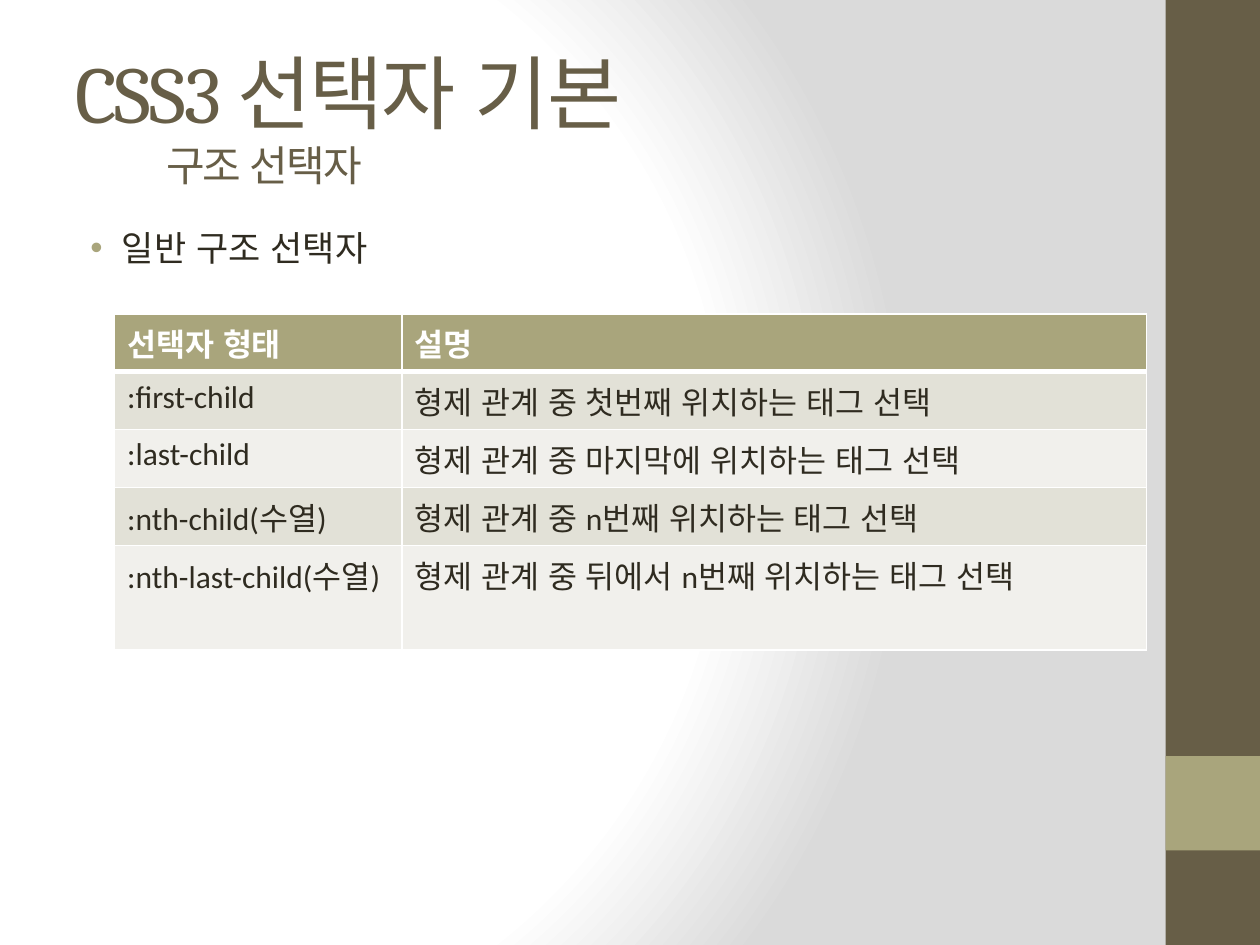
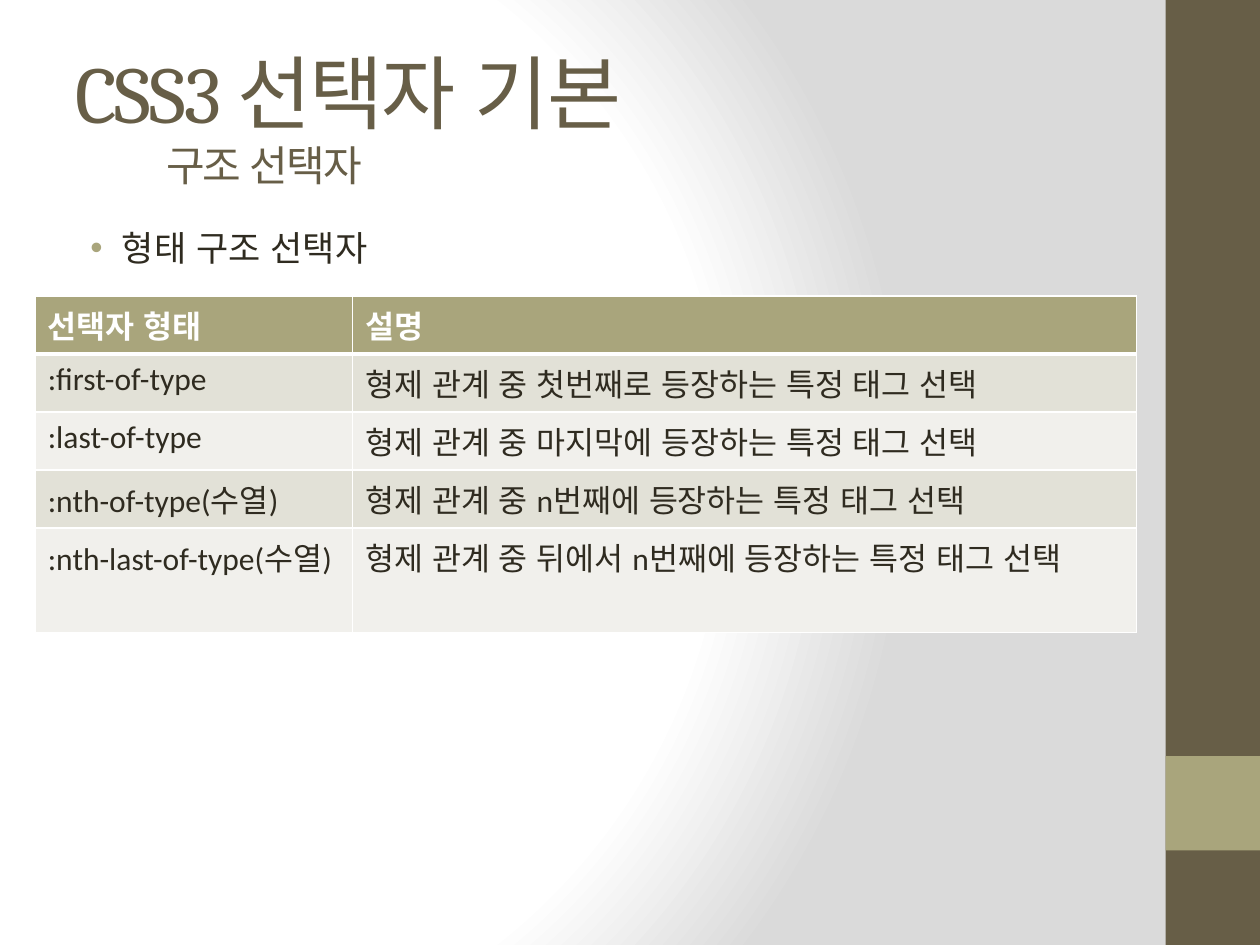
from lxml.etree import SubElement
from pptx import Presentation
from pptx.dml.color import RGBColor
from pptx.enum.lang import MSO_LANGUAGE_ID as Language
from pptx.enum.shapes import MSO_SHAPE as Shape
from pptx.enum.text import MSO_ANCHOR as Anchor
from pptx.oxml import parse_xml
from pptx.oxml.ns import nsdecls, qn
from pptx.util import Inches, Pt

COLORS = {
    "brown": "675E47",
    "olive": "A9A57C",
    "ink": "2F2B20",
    "white": "FFFFFF",
    "grey": "DADADA",
    "odd_row": "E2E1D7",
    "even_row": "F1F0EC",
}
TITLE_FONT, BODY_FONT = "Cambria", "Calibri"
TITLE, SUBTITLE = "CSS3 선택자 기본", "구조 선택자"
HEADER = ("선택자 형태", "설명")
ROW_HEIGHTS = (0.46, 0.46, 0.46, 0.46, 0.83)

# Content of each slide: bullet, table position, column widths, rows
SLIDES = [
    ("일반 구조 선택자", (0.91, 2.49), (2.28, 5.91), [
        (":first-child", "형제 관계 중 첫번째 위치하는 태그 선택"),
        (":last-child", "형제 관계 중 마지막에 위치하는 태그 선택"),
        (":nth-child(수열)", "형제 관계 중 n번째 위치하는 태그 선택"),
        (":nth-last-child(수열)", "형제 관계 중 뒤에서 n번째 위치하는 태그 선택"),
    ]),
    ("형태 구조 선택자", (0.28, 2.35), (2.52, 6.22), [
        (":first-of-type", "형제 관계 중 첫번째로 등장하는 특정 태그 선택"),
        (":last-of-type", "형제 관계 중 마지막에 등장하는 특정 태그 선택"),
        (":nth-of-type(수열)", "형제 관계 중 n번째에 등장하는 특정 태그 선택"),
        (":nth-last-of-type(수열)", "형제 관계 중 뒤에서 n번째에 등장하는 특정 태그 선택"),
    ]),
]


def rgb(name):
    return RGBColor.from_string(COLORS[name])


class SlideBuilder:
    def __init__(self, deck):
        self.deck = deck
        self.page = None

    def new_page(self):
        self.page = self.deck.slides.add_slide(self.deck.slide_layouts[6])
        self.background()
        self.band(0, 7.5, "brown")
        self.band(6, 0.75, "olive")

    def background(self):
        self.page.background.fill.gradient()
        stops = "".join(
            f'<a:gs pos="{percent * 1000}"><a:srgbClr val="{COLORS[name]}"/></a:gs>'
            for percent, name in ((0, "white"), (75, "white"), (100, "grey")))
        gradient = parse_xml(
            f'<a:gradFill {nsdecls("a")} rotWithShape="1"><a:gsLst>{stops}</a:gsLst>'
            '<a:path path="circle"><a:fillToRect l="20000" t="50000" r="100000" b="50000"/>'
            '</a:path></a:gradFill>')
        linear = self.page.element.find(".//" + qn("a:gradFill"))
        linear.getparent().replace(linear, gradient)

    def band(self, top, height, color):
        band = self.page.shapes.add_shape(
            Shape.RECTANGLE, Inches(9.25), Inches(top), Inches(0.75), Inches(height))
        band.shadow.inherit = False
        band.fill.solid()
        band.fill.fore_color.rgb = rgb(color)
        band.line.fill.background()

    def text_frame(self, top, height):
        box = self.page.shapes.add_textbox(
            Inches(0.5), Inches(top), Inches(8.33), Inches(height))
        box.text_frame.word_wrap = True
        return box.text_frame

    def style(self, para, font, size, color, bold=False):
        for span in para.runs:
            span.font.name = font
            span.font.size = Pt(size)
            span.font.bold = bold
            span.font.color.rgb = rgb(color)
            span.font.language_id = Language.KOREAN

    def title(self):
        frame = self.text_frame(0.3, 1.25)
        frame.vertical_anchor = Anchor.MIDDLE
        frame.text = f"{TITLE}\n{SUBTITLE}"
        for para, size in zip(frame.paragraphs, (46, 24)):
            self.style(para, TITLE_FONT, size, "brown")
            para.runs[0].font._element.set("spc", "-100")
        frame.paragraphs[1]._p.get_or_add_pPr().set("marL", str(Inches(0.72)))

    def bullet(self, text):
        frame = self.text_frame(1.75, 5.25)
        frame.text = text
        para = frame.paragraphs[0]
        para.space_before = Pt(4)
        self.style(para, BODY_FONT, 20, "ink")
        props = para._p.get_or_add_pPr()
        props.set("marL", str(Inches(0.37)))
        props.set("indent", str(Inches(-0.25)))
        bullet_color = SubElement(props, qn("a:buClr"))
        SubElement(bullet_color, qn("a:srgbClr")).set("val", COLORS["olive"])
        SubElement(props, qn("a:buFont")).set("typeface", "Arial")
        SubElement(props, qn("a:buChar")).set("char", "•")

    def borders(self, cell, top, bottom):
        props = cell._tc.get_or_add_tcPr()
        sides = (("L", 1), ("R", 1), ("T", top), ("B", bottom))
        for index, (side, width) in enumerate(sides):
            props.insert(index, parse_xml(
                f'<a:ln{side} {nsdecls("a")} w="{Pt(width)}"><a:solidFill>'
                f'<a:srgbClr val="{COLORS["white"]}"/></a:solidFill></a:ln{side}>'))

    def table(self, place, widths, rows):
        left, top = place
        lines = [HEADER, *rows]
        table = self.page.shapes.add_table(
            len(lines), len(widths), Inches(left), Inches(top),
            Inches(sum(widths)), Inches(sum(ROW_HEIGHTS))).table
        for column, width in zip(table.columns, widths):
            column.width = Inches(width)
        for row, (texts, height) in enumerate(zip(lines, ROW_HEIGHTS)):
            table.rows[row].height = Inches(height)
            is_header = row == 0
            fill = "olive" if is_header else "odd_row" if row % 2 else "even_row"
            for column, text in enumerate(texts):
                cell = table.cell(row, column)
                cell.text = text
                cell.fill.solid()
                cell.fill.fore_color.rgb = rgb(fill)
                self.style(cell.text_frame.paragraphs[0], BODY_FONT, 18,
                           "white" if is_header else "ink", is_header)
                self.borders(cell, top=3 if row == 1 else 1, bottom=3 if is_header else 1)


def main():
    deck = Presentation()
    deck.slide_width, deck.slide_height = Inches(10), Inches(7.5)
    builder = SlideBuilder(deck)
    for bullet, place, widths, rows in SLIDES:
        builder.new_page()
        builder.title()
        builder.bullet(bullet)
        builder.table(place, widths, rows)
    deck.save("out.pptx")


if __name__ == "__main__":
    main()
